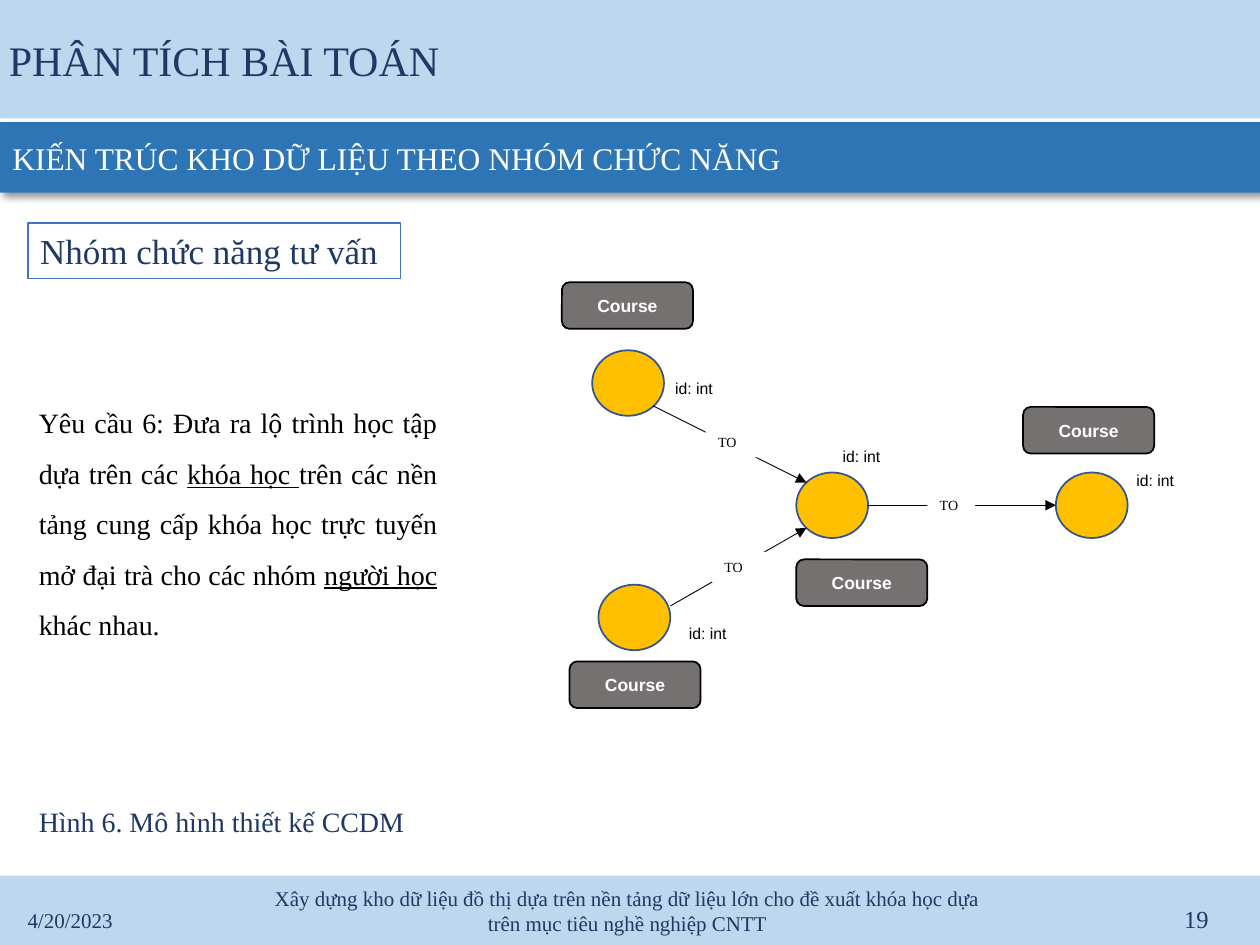
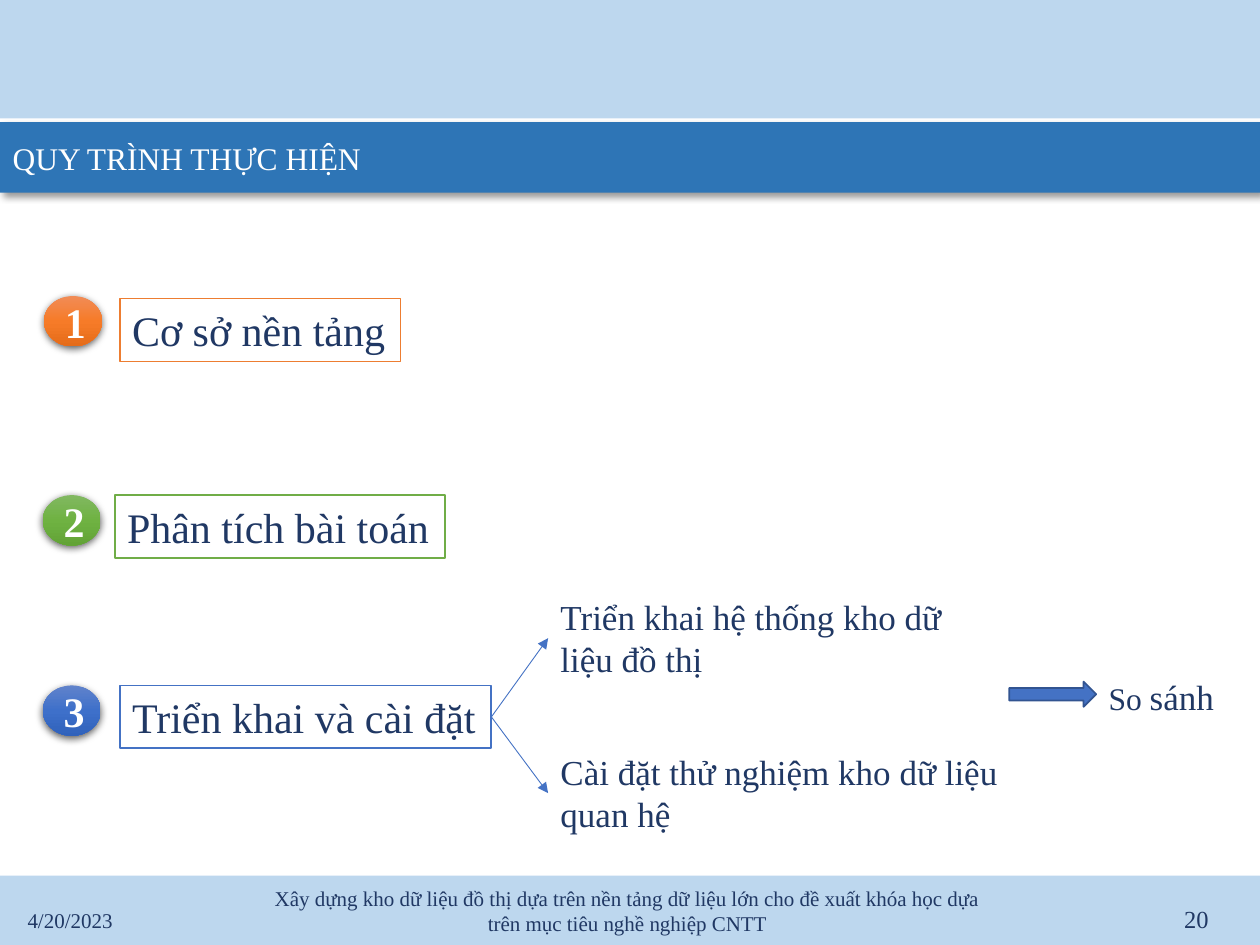
"""Build two lecture slides: a course-path graph model and the working process."""
from dataclasses import dataclass
from typing import NamedTuple, Optional

from lxml.etree import SubElement
from pptx import Presentation
from pptx.dml.color import RGBColor
from pptx.enum.shapes import MSO_CONNECTOR, MSO_SHAPE as Preset
from pptx.enum.text import MSO_ANCHOR as Anchor, MSO_AUTO_SIZE as AutoSize, PP_ALIGN as Align
from pptx.oxml.ns import qn
from pptx.util import Inches, Pt

COLUMNS, ROWS = 100, 75
SLIDE_WIDTH, SLIDE_HEIGHT = Inches(10), Inches(7.5)

NAVY = RGBColor(0x20, 0x38, 0x64)
PALE_BLUE = RGBColor(0xBD, 0xD7, 0xEE)
RIBBON_BLUE = RGBColor(0x2E, 0x75, 0xB6)
BLUE = RGBColor(0x44, 0x72, 0xC4)
DARK_BLUE = RGBColor(0x32, 0x54, 0x91)
ORANGE = RGBColor(0xED, 0x7D, 0x31)
GREEN = RGBColor(0x70, 0xAD, 0x47)
GOLD = RGBColor(0xFF, 0xC0, 0x00)
GRAY = RGBColor(0x76, 0x71, 0x71)
WHITE = RGBColor(0xFF, 0xFF, 0xFF)
BLACK = RGBColor(0x00, 0x00, 0x00)
ORANGE_SHADES = (RGBColor(0xF1, 0x8C, 0x57), RGBColor(0xF6, 0x7B, 0x28), RGBColor(0xE5, 0x6C, 0x19))
GREEN_SHADES = (RGBColor(0x81, 0xB8, 0x61), RGBColor(0x6F, 0xB2, 0x42), RGBColor(0x62, 0xA3, 0x36))
BLUE_SHADES = (RGBColor(0x61, 0x83, 0xCB), RGBColor(0x3E, 0x70, 0xCA), RGBColor(0x30, 0x62, 0xBB))

SERIF, SANS = "Times New Roman", "Arial"
DATE = "4/20/2023"
THESIS = ("Xây dựng kho dữ liệu đồ thị dựa trên nền tảng dữ liệu lớn cho đề xuất khóa học "
          "dựa trên mục tiêu nghề nghiệp CNTT")


class Area(NamedTuple):
    """Left, top, width and height in grid columns and rows."""
    left: float
    top: float
    width: float
    height: float


class Point(NamedTuple):
    """A grid position."""
    column: float
    row: float


class Shadow(NamedTuple):
    """Opacity in percent, blur and distance in points, angle in degrees."""
    opacity: int
    blur: float
    distance: float
    angle: int


@dataclass(frozen=True)
class Style:
    """Look and placement of a text."""
    size: float
    color: RGBColor = NAVY
    font: str = SERIF
    bold: bool = False
    align: Align = Align.LEFT
    anchor: Anchor = Anchor.TOP
    grow: bool = False
    wrap: bool = True
    inset: tuple[float, float] = (0.1, 0.05)


@dataclass(frozen=True)
class CourseNode:
    """A graph node with its label and its property."""
    circle: Point
    label: Point
    prop: Point


@dataclass(frozen=True)
class CourseEdge:
    """A relation between two nodes with the area of its caption."""
    start: Point
    end: Point
    caption: Area


@dataclass(frozen=True)
class Step:
    """A numbered step of the process."""
    badge: Point
    shades: tuple[RGBColor, ...]
    box: Area
    border: RGBColor
    text: str


TOP_BAND = Area(0, 0, COLUMNS, 9.4)
RIBBON = Area(0, 9.7, COLUMNS, 5.6)
FOOTER_BAND = Area(0, 69.5, COLUMNS, 5.6)
RIBBON_SHADOW = Shadow(40, 4, 3, 45)
BADGE_SHADOW = Shadow(63, 4.5, 1.5, 90)

HEADING = Style(24, anchor=Anchor.MIDDLE, inset=(0.07, 0.04))
RIBBON_TEXT = Style(18, WHITE, anchor=Anchor.MIDDLE)
TOPIC = Style(20, grow=True)
STEP_TEXT = Style(24, grow=True, wrap=False)
BADGE_TEXT = Style(24, WHITE, bold=True, align=Align.CENTER, anchor=Anchor.MIDDLE)
COURSE_LABEL = Style(10, WHITE, SANS, True, Align.CENTER, Anchor.MIDDLE)
PROPERTY = Style(9, BLACK, SANS, grow=True)
RELATION = Style(8, BLACK, grow=True)

FOOTER_DATE = Style(12, anchor=Anchor.MIDDLE)
FOOTER_THESIS = Style(12, align=Align.CENTER, anchor=Anchor.MIDDLE)
FOOTER_NUMBER = Style(14, align=Align.RIGHT, anchor=Anchor.MIDDLE)

NODES = (
    CourseNode(Point(47, 27.8), Point(44.6, 22.4), Point(52.6, 29.6)),
    CourseNode(Point(47.5, 46.4), Point(45.2, 52.5), Point(53.7, 49)),
    CourseNode(Point(63.2, 37.5), Point(63.2, 44.4), Point(65.9, 35)),
    CourseNode(Point(83.8, 37.5), Point(81.2, 32.3), Point(89.2, 36.9)),
)
EDGES = (
    CourseEdge(Point(51.8, 32.2), Point(64, 38.3), Area(56, 33.9, 8.2, 2.4)),
    CourseEdge(Point(53.2, 48.1), Point(64, 41.9), Area(56.5, 43.8, 4.7, 2.4)),
    CourseEdge(Point(68.8, 40.1), Point(83.8, 40.1), Area(73.6, 38.9, 3.8, 2.4)),
)
REQUIREMENT = (
    ("Yêu cầu 6: Đưa ra lộ trình học tập dựa trên các ", False),
    ("khóa học ", True),
    ("trên các nền tảng cung cấp khóa học trực tuyến mở đại trà cho các nhóm ", False),
    ("người học ", True),
    ("khác nhau.", False),
)
STEPS = (
    Step(Point(3.5, 23.5), ORANGE_SHADES, Area(9.5, 23.7, 22.3, 5), ORANGE, "Cơ sở nền tảng"),
    Step(Point(3.4, 39.3), GREEN_SHADES, Area(9.1, 39.3, 26.2, 5), GREEN, "Phân tích bài toán"),
    Step(Point(3.4, 54.4), BLUE_SHADES, Area(9.5, 54.4, 29.5, 5), BLUE, "Triển khai và cài đặt"),
)
BRANCHES = (
    (Area(43.5, 46.8, 36.6, 7.7), "Triển khai hệ thống kho dữ liệu đồ thị"),
    (Area(43.5, 59.1, 39.3, 7.7), "Cài đặt thử nghiệm kho dữ liệu quan hệ"),
)


def across(columns: float) -> int:
    """Turn grid columns into a length."""
    return round(SLIDE_WIDTH * columns / COLUMNS)


def down(rows: float) -> int:
    """Turn grid rows into a length."""
    return round(SLIDE_HEIGHT * rows / ROWS)


def place(area: Area) -> tuple[int, int, int, int]:
    """Turn a grid area into left, top, width and height."""
    return across(area.left), down(area.top), across(area.width), down(area.height)


def format_run(run, style: Style) -> None:
    """Give a run the font of a style."""
    run.font.name, run.font.size, run.font.bold = style.font, Pt(style.size), style.bold
    run.font.color.rgb = style.color


def write(shape, text: str, style: Style):
    """Put styled text in a shape and return its paragraph."""
    frame = shape.text_frame
    frame.text = text
    frame.word_wrap = style.wrap
    frame.auto_size = AutoSize.SHAPE_TO_FIT_TEXT if style.grow else AutoSize.NONE
    frame.vertical_anchor = style.anchor
    frame.margin_left = frame.margin_right = Inches(style.inset[0])
    frame.margin_top = frame.margin_bottom = Inches(style.inset[1])
    paragraph = frame.paragraphs[0]
    paragraph.alignment = style.align
    for run in paragraph.runs:
        format_run(run, style)
    return paragraph


def add_text(slide, area: Area, text: str, style: Style):
    """Add a text box."""
    box = slide.shapes.add_textbox(*place(area))
    write(box, text, style)
    return box


def paint(shape, fill: RGBColor, border: Optional[RGBColor] = None) -> None:
    """Fill and outline a shape without a shadow."""
    shape.shadow.inherit = False
    shape.fill.solid()
    shape.fill.fore_color.rgb = fill
    if border is None:
        shape.line.fill.background()
    else:
        shape.line.color.rgb = border
        shape.line.width = Pt(1)


def add_figure(slide, preset: Preset, area: Area, fill: RGBColor, border: Optional[RGBColor] = None):
    """Add a painted preset shape."""
    figure = slide.shapes.add_shape(preset, *place(area))
    paint(figure, fill, border)
    return figure


def cast_shadow(shape, shadow: Shadow) -> None:
    """Give a painted shape an outer shadow."""
    effects = shape.element.spPr.find(qn("a:effectLst"))
    outer = SubElement(effects, qn("a:outerShdw"), blurRad=str(Pt(shadow.blur)),
                       dist=str(Pt(shadow.distance)), dir=str(shadow.angle * 60000), rotWithShape="0")
    color = SubElement(outer, qn("a:srgbClr"), val=str(BLACK))
    SubElement(color, qn("a:alpha"), val=str(shadow.opacity * 1000))


def shade(shape, shades: tuple[RGBColor, ...]) -> None:
    """Fill a shape with evenly spaced shades from top to bottom."""
    shape.fill.gradient()
    shape.fill.gradient_angle = 270
    stops = shape.element.spPr.find(qn("a:gradFill")).find(qn("a:gsLst"))
    for stop in list(stops):
        stops.remove(stop)
    for index, color in enumerate(shades):
        position = 100000 * index // (len(shades) - 1)
        stop = SubElement(stops, qn("a:gs"), pos=str(position))
        SubElement(stop, qn("a:srgbClr"), val=str(color))


def add_arrow(slide, start: Point, end: Point, color: RGBColor):
    """Add a thin straight arrow."""
    arrow = slide.shapes.add_connector(MSO_CONNECTOR.STRAIGHT, across(start.column), down(start.row),
                                       across(end.column), down(end.row))
    arrow.line.color.rgb = color
    arrow.line.width = Pt(0.5)
    properties = arrow.element.spPr
    SubElement(properties.find(qn("a:ln")), qn("a:tailEnd"), type="triangle")
    SubElement(properties, qn("a:effectLst"))
    return arrow


def add_band(slide, area: Area, fill: RGBColor, is_title: bool = False):
    """Draw a full-width band, as the title placeholder where it holds the title."""
    if not is_title:
        return add_figure(slide, Preset.RECTANGLE, area, fill)
    title = slide.shapes.title
    title.left, title.top, title.width, title.height = place(area)
    paint(title, fill)
    return title


def add_framed_slide(prs, number: int, section: str, heading: str = ""):
    """Add a slide with its bands and footer."""
    slide = prs.slides.add_slide(prs.slide_layouts[5])
    top_band = add_band(slide, TOP_BAND, PALE_BLUE, is_title=bool(heading))
    if heading:
        write(top_band, heading, HEADING)
    ribbon = add_band(slide, RIBBON, RIBBON_BLUE, is_title=not heading)
    cast_shadow(ribbon, RIBBON_SHADOW)
    write(ribbon, section, RIBBON_TEXT)
    add_band(slide, FOOTER_BAND, PALE_BLUE)
    add_text(slide, Area(1.2, 71, 22.5, 4), DATE, FOOTER_DATE)
    add_text(slide, Area(20.8, 70.3, 58, 4), THESIS, FOOTER_THESIS)
    add_text(slide, Area(74.4, 70.9, 22.5, 4), str(number), FOOTER_NUMBER)
    return slide


def build_model(prs) -> None:
    """Draw the course graph and the requirement it serves."""
    slide = add_framed_slide(prs, 19, "KIẾN TRÚC KHO DỮ LIỆU THEO NHÓM CHỨC NĂNG", "PHÂN TÍCH BÀI TOÁN")
    topic = add_figure(slide, Preset.RECTANGLE, Area(2.2, 17.7, 29.6, 4.4), WHITE, BLUE)
    write(topic, "Nhóm chức năng tư vấn", TOPIC)
    add_text(slide, Area(2.1, 63.4, 35.2, 3.7), "Hình 6. Mô hình thiết kế CCDM", Style(16, grow=True))
    for node in NODES:
        add_figure(slide, Preset.OVAL, Area(*node.circle, 5.7, 5.2), GOLD, DARK_BLUE)
        label = add_figure(slide, Preset.ROUNDED_RECTANGLE, Area(*node.label, 10.4, 3.7), GRAY, BLACK)
        write(label, "Course", COURSE_LABEL)
    for edge in EDGES:
        add_arrow(slide, edge.start, edge.end, BLACK)
        caption = add_figure(slide, Preset.RECTANGLE, edge.caption, WHITE)
        write(caption, "TO", RELATION)
    for node in NODES:
        add_text(slide, Area(*node.prop, 5.7, 2.5), "id: int", PROPERTY)

    body = Style(16, BLACK, align=Align.JUSTIFY, grow=True)
    requirement = add_text(slide, Area(2.1, 30.4, 33.6, 25), "", body).text_frame.paragraphs[0]
    requirement.line_spacing, requirement.space_after = 1.5, Pt(8)
    for part, underlined in REQUIREMENT:
        run = requirement.add_run()
        run.text = part
        format_run(run, body)
        run.font.underline = underlined


def build_process(prs) -> None:
    """Draw the three steps and the branches of the last one."""
    slide = add_framed_slide(prs, 20, "QUY TRÌNH THỰC HIỆN")
    for number, step in enumerate(STEPS, 1):
        step_box = add_figure(slide, Preset.RECTANGLE, step.box, WHITE, step.border)
        write(step_box, step.text, STEP_TEXT)
        badge = add_figure(slide, Preset.OVAL, Area(*step.badge, 4.6, 4), step.border)
        shade(badge, step.shades)
        cast_shadow(badge, BADGE_SHADOW)
        write(badge, str(number), BADGE_TEXT)
    for area, text in BRANCHES:
        branch = add_text(slide, area, text, TOPIC)
        arrow = add_arrow(slide, Point(39, 56.9), Point(area.left, area.top + area.height / 2), BLUE)
        arrow.begin_connect(step_box, 3)
        arrow.end_connect(branch, 1)
    add_figure(slide, Preset.RIGHT_ARROW, Area(80.1, 54.1, 6.9, 2), BLUE, DARK_BLUE)
    comparison = add_text(slide, Area(87, 53.1, 10.5, 4.4), "So ", Style(18, grow=True, wrap=False))
    ending = comparison.text_frame.paragraphs[0].add_run()
    ending.text = "sánh"
    format_run(ending, TOPIC)


def main() -> None:
    """Build and save the presentation."""
    prs = Presentation()
    prs.slide_width, prs.slide_height = SLIDE_WIDTH, SLIDE_HEIGHT
    build_model(prs)
    build_process(prs)
    prs.save("out.pptx")


if __name__ == "__main__":
    main()
